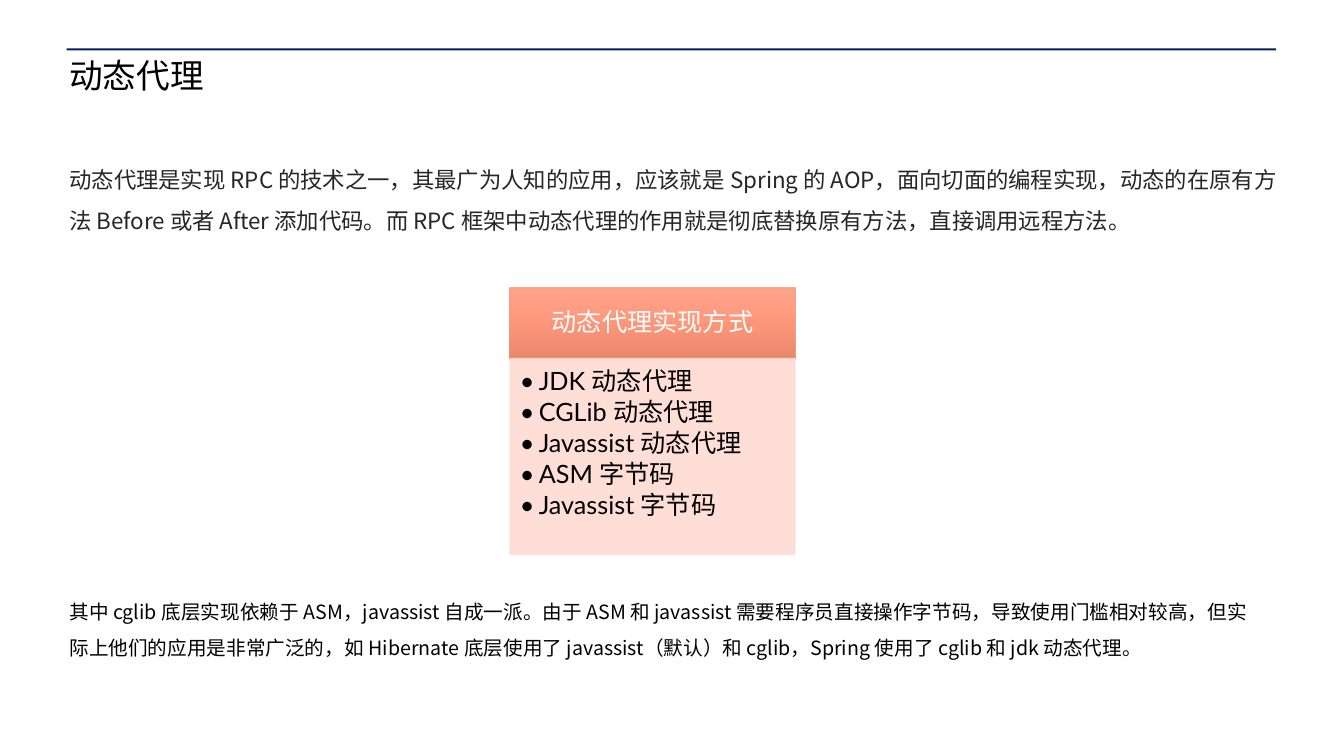
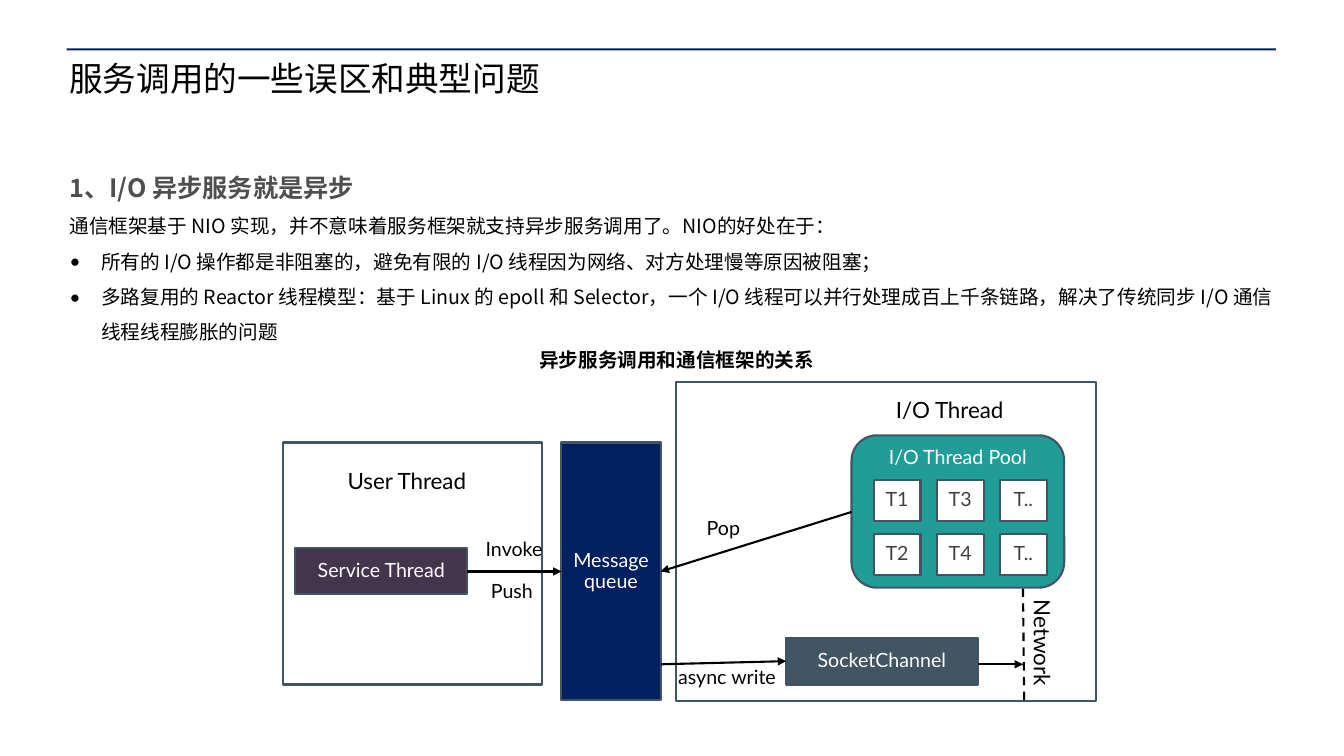
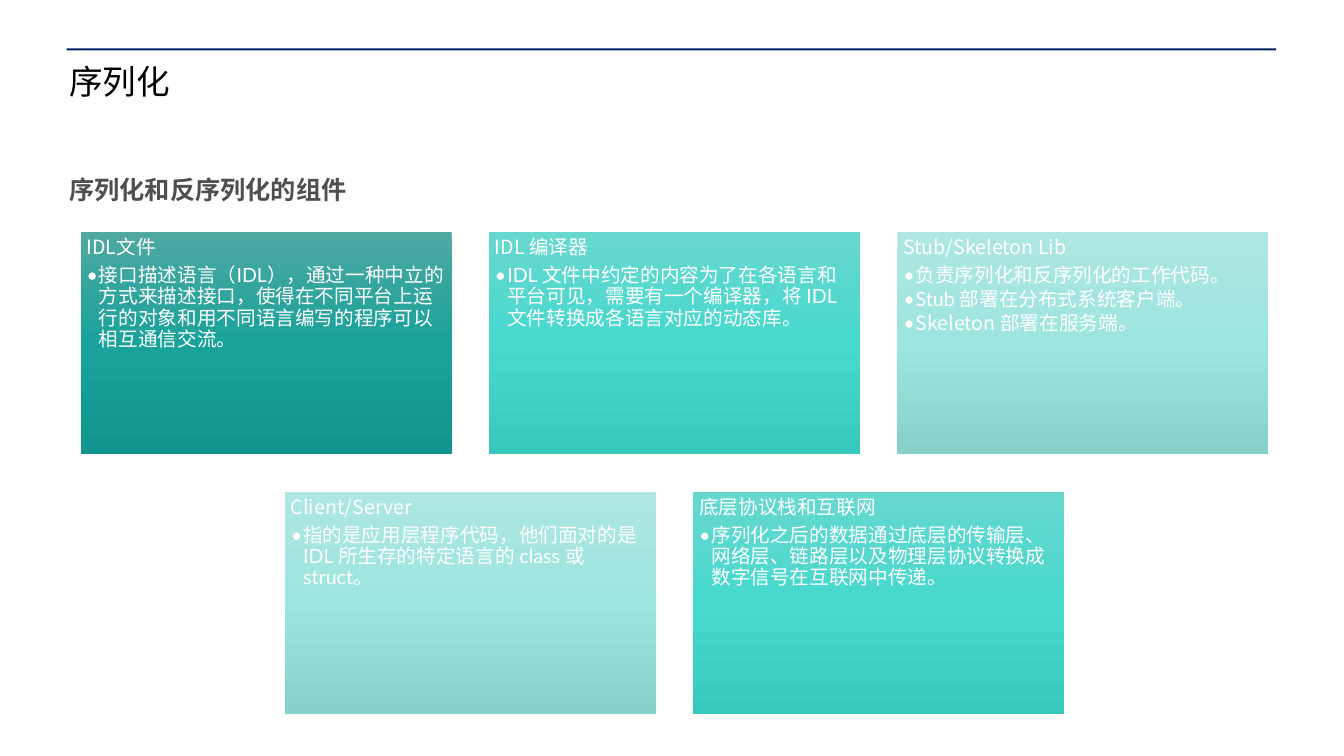
from dataclasses import dataclass
from lxml.etree import SubElement
from pptx import Presentation
from pptx.dml.color import RGBColor
from pptx.enum.dml import MSO_LINE
from pptx.enum.shapes import MSO_CONNECTOR, MSO_SHAPE
from pptx.enum.text import MSO_ANCHOR, PP_ALIGN
from pptx.oxml.ns import qn
from pptx.util import Cm, Pt


@dataclass(frozen=True)
class Theme:
    latin: str = "Lato"
    cjk: str = "Noto Sans CJK SC"
    navy: str = "002060"
    slate: str = "425563"
    plum: str = "44354D"
    teal: str = "209D97"
    black: str = "000000"
    white: str = "FFFFFF"
    ink: str = "262626"
    gray: str = "404040"
    heading: str = "4F4F4F"
    blush: str = "FFDBD4"
    coral: str = "FF8D6D"
    coral_fade: tuple = ("FF9C83", "FF8D6D", "E57C5F")
    deep_fade: tuple = ("4FA8A2", "19A29A", "11958E")
    bright_fade: tuple = ("67D8CF", "47D8CE", "38C8BE")
    pale_fade: tuple = ("AEE6E1", "9FE5DF", "89D0CA")
    title_size: int = 24
    large: int = 18
    medium: int = 16
    small: int = 14


THEME = Theme()
MARGIN = 1.75
WIDTH = 30.45


@dataclass(frozen=True)
class Line:
    text: str
    size: int = THEME.small
    color: str = THEME.black
    font: str = THEME.cjk
    bold: bool = False
    spacing: float = 0.9
    after: float = 0
    indent: float = 0
    align: PP_ALIGN = PP_ALIGN.LEFT


def write(shape, lines, insets=(0, 0, 0, 0), anchor=MSO_ANCHOR.TOP, wrap=True):
    frame = shape.text_frame
    frame.word_wrap = wrap
    frame.vertical_anchor = anchor
    frame.margin_left, frame.margin_top, frame.margin_right, frame.margin_bottom = map(Cm, insets)
    for index, line in enumerate(lines):
        para = frame.add_paragraph() if index else frame.paragraphs[0]
        para.alignment = line.align
        para.line_spacing = line.spacing
        para.space_after = Pt(line.after)
        if line.indent:
            properties = para._p.get_or_add_pPr()
            properties.set("marL", str(Cm(line.indent)))
            properties.set("indent", str(-Cm(line.indent)))
            SubElement(properties, qn("a:buFont")).set("typeface", THEME.latin)
            SubElement(properties, qn("a:buChar")).set("char", "•")
        span = para.add_run()
        span.text = line.text
        span.font.size = Pt(line.size)
        span.font.bold = line.bold
        span.font.color.rgb = RGBColor.from_string(line.color)
        span.font.name = line.font
        SubElement(span._r.get_or_add_rPr(), qn("a:ea")).set("typeface", THEME.cjk)


def add_text(page, at, *lines, wrap=True):
    box = page.shapes.add_textbox(*map(Cm, at))
    write(box, lines, wrap=wrap)
    return box


def add_block(page, at, fill=None, line=None, weight=1.5, kind=MSO_SHAPE.RECTANGLE):
    block = page.shapes.add_shape(kind, *map(Cm, at))
    block.shadow.inherit = False
    if isinstance(fill, tuple):
        fade(block, fill)
    elif fill:
        block.fill.solid()
        block.fill.fore_color.rgb = RGBColor.from_string(fill)
    else:
        block.fill.background()
    if line:
        block.line.color.rgb = RGBColor.from_string(line)
        block.line.width = Pt(weight)
    else:
        block.line.fill.background()
    return block


def fade(block, colors):
    block.fill.gradient()
    block.fill.gradient_angle = 270
    stops = block._element.spPr.find(qn("a:gradFill")).find(qn("a:gsLst"))
    for stop in list(stops):
        stops.remove(stop)
    for index, color in enumerate(colors):
        stop = SubElement(stops, qn("a:gs"))
        stop.set("pos", str(index * 50000))
        SubElement(stop, qn("a:srgbClr")).set("val", color)


def make_translucent(block, opacity=90):
    for color in block._element.spPr.iter(qn("a:srgbClr")):
        SubElement(color, qn("a:alpha")).set("val", str(opacity * 1000))


def add_node(page, at, text, fill, color=THEME.white, anchor=MSO_ANCHOR.MIDDLE,
             kind=MSO_SHAPE.RECTANGLE):
    node = add_block(page, at, fill, THEME.slate, kind=kind)
    line = Line(text, color=color, font=THEME.latin, align=PP_ALIGN.CENTER)
    write(node, [line], (0.25, 0.13, 0.25, 0.13), anchor)


def add_label(page, at, text, size=THEME.small):
    return add_text(page, at, Line(text, size, font=THEME.latin), wrap=False)


def add_link(page, start, end, arrow=True):
    link = page.shapes.add_connector(MSO_CONNECTOR.STRAIGHT, *map(Cm, start + end))
    link.line.color.rgb = RGBColor.from_string(THEME.black)
    link.line.width = Pt(1.5)
    properties = link._element.spPr
    if arrow:
        SubElement(properties.find(qn("a:ln")), qn("a:tailEnd")).set("type", "triangle")
    else:
        link.line.dash_style = MSO_LINE.DASH
    SubElement(properties, qn("a:effectLst"))


def add_page(deck, title, top):
    page = deck.slides.add_slide(deck.slide_layouts[6])
    add_block(page, (1.68, 1.22, 30.48, 0.05), THEME.navy)
    add_text(page, (MARGIN, top, WIDTH, 2.36), Line(title, THEME.title_size))
    return page


def section_heading(text):
    return Line(text, THEME.large, THEME.heading, bold=True, spacing=1.5)


def add_card(page, left, top, width, height, colors, title, points):
    card = add_block(page, (left, top, width, height), colors)
    lines = [Line(title, color=THEME.white, after=4.9)]
    lines += [Line(text, color=THEME.white, font=font, after=2.1, indent=0.31)
              for text, font in points]
    write(card, lines, (0.15,) * 4)


def build_proxy_page(deck):
    page = add_page(deck, "动态代理", 1.5)
    add_text(page, (MARGIN, 3.86, WIDTH, 5.97), Line(
        "动态代理是实现 RPC 的技术之一，其最广为人知的应用，应该就是 Spring 的 AOP，"
        "面向切面的编程实现，动态的在原有方法 Before 或者 After 添加代码。"
        "而 RPC 框架中动态代理的作用就是彻底替换原有方法，直接调用远程方法。",
        THEME.medium, THEME.ink, spacing=1.5))
    left, top, width, header_height = 12.85, 7.26, 7.19, 1.77
    header = add_block(page, (left, top, width, header_height), THEME.coral_fade, THEME.coral, 0.5)
    write(header, [Line("动态代理实现方式", THEME.large, THEME.white, THEME.latin,
                        align=PP_ALIGN.CENTER)], (0.36, 0.2, 0.36, 0.2), MSO_ANCHOR.MIDDLE)
    panel = add_block(page, (left, top + header_height, width, 4.95), THEME.blush, THEME.blush, 0.5)
    methods = ("JDK 动态代理", "CGLib 动态代理", "Javassist 动态代理", "ASM 字节码", "Javassist 字节码")
    write(panel, [Line(method, THEME.large, font=THEME.latin, after=2.7, indent=0.48)
                  for method in methods], (0.25, 0.25, 0.36, 0.41))
    for block in (header, panel):
        make_translucent(block)
    add_text(page, (MARGIN, 14.83, 30.15, 2.54), Line(
        "其中 cglib 底层实现依赖于 ASM，javassist 自成一派。由于 ASM 和 javassist "
        "需要程序员直接操作字节码，导致使用门槛相对较高，但实际上他们的应用是非常广泛的，"
        "如 Hibernate 底层使用了 javassist（默认）和 cglib，Spring 使用了 cglib 和 jdk 动态代理。",
        spacing=1.5))


def build_call_page(deck):
    page = add_page(deck, "服务调用的一些误区和典型问题", 1.57)
    add_text(
        page, (MARGIN, 3.96, WIDTH, 4.67),
        section_heading("1、I/O 异步服务就是异步"),
        Line("通信框架基于 NIO 实现，并不意味着服务框架就支持异步服务调用了。NIO的好处在于：", spacing=1.5),
        Line("所有的 I/O 操作都是非阻塞的，避免有限的 I/O 线程因为网络、对方处理慢等原因被阻塞；",
             spacing=1.5, indent=0.8),
        Line("多路复用的 Reactor 线程模型：基于 Linux 的 epoll 和 Selector，一个 I/O 线程可以并行处理"
             "成百上千条链路，解决了传统同步 I/O 通信线程线程膨胀的问题", spacing=1.5, indent=0.8))
    add_text(page, (13.59, 8.76, 7.57, 2.54),
             Line("异步服务调用和通信框架的关系", bold=True, spacing=1), wrap=False)
    draw_call_diagram(page)


def draw_call_diagram(page):
    for frame in ((7.14, 11.15, 6.53, 6.1), (17.04, 9.63, 10.59, 8.03)):
        add_block(page, frame, line=THEME.slate)
    add_node(page, (7.44, 13.82, 4.34, 1.14), "Service Thread", THEME.plum)
    add_node(page, (14.15, 11.15, 2.5, 6.5), "Message queue", THEME.navy)
    add_node(page, (21.46, 10.97, 5.36, 3.84), "I/O Thread Pool", THEME.teal,
             anchor=MSO_ANCHOR.TOP, kind=MSO_SHAPE.ROUNDED_RECTANGLE)
    for row, names in enumerate((("T1", "T3", "T.."), ("T2", "T4", "T.."))):
        for column, name in enumerate(names):
            add_node(page, (22.02 + 1.59 * column, 12.09 + 1.36 * row, 1.18, 1.04),
                     name, THEME.white, THEME.gray)
    add_node(page, (19.81, 16.08, 4.83, 1.17), "SocketChannel", THEME.slate)

    add_link(page, (11.78, 14.4), (14.15, 14.4))
    add_link(page, (16.65, 16.74), (19.81, 16.66))
    add_link(page, (21.46, 12.9), (16.65, 14.4))
    add_link(page, (25.78, 14.83), (25.81, 17.65), arrow=False)
    add_link(page, (24.64, 16.74), (25.78, 16.74))

    add_label(page, (17.81, 13.08, 1.8, 0.7), "Pop")
    add_label(page, (12.24, 13.59, 1.8, 0.7), "Invoke")
    add_label(page, (12.37, 14.66, 1.8, 0.7), "Push")
    add_label(page, (17.09, 16.81, 2.7, 0.7), "async write")
    add_label(page, (8.76, 11.86, 3.23, 1.42), "User Thread", THEME.medium)
    add_label(page, (22.58, 10.06, 3.23, 1.42), "I/O Thread", THEME.medium)
    network = add_label(page, (25.68, 15.11, 0.86, 2.74), "Network", THEME.medium)
    network.text_frame._txBody.bodyPr.set("vert", "eaVert")


def build_serialization_page(deck):
    page = add_page(deck, "序列化", 1.65)
    add_text(page, (MARGIN, 4.01, WIDTH, 1.57), section_heading("序列化和反序列化的组件"))
    rows = (
        ((THEME.deep_fade, "IDL文件", (
            ("接口描述语言（IDL），通过一种中立的方式来描述接口，使得在不同平台上运行的对象和"
             "用不同语言编写的程序可以相互通信交流。", THEME.latin),)),
         (THEME.bright_fade, "IDL 编译器", (
             ("IDL 文件中约定的内容为了在各语言和平台可见，需要有一个编译器，将 IDL "
              "文件转换成各语言对应的动态库。", THEME.latin),)),
         (THEME.pale_fade, "Stub/Skeleton Lib", (
             ("负责序列化和反序列化的工作代码。", THEME.latin),
             ("Stub 部署在分布式系统客户端。", THEME.latin),
             ("Skeleton 部署在服务端。", THEME.cjk)))),
        ((THEME.pale_fade, "Client/Server", (
            ("指的是应用层程序代码，他们面对的是 IDL 所生存的特定语言的 class 或 struct。", THEME.latin),)),
         (THEME.bright_fade, "底层协议栈和互联网", (
             ("序列化之后的数据通过底层的传输层、网络层、链路层以及物理层协议转换成"
              "数字信号在互联网中传递。", THEME.latin),))),
    )
    width, height, gap, center = 9.35, 5.61, 0.94, 17
    for row, cards in enumerate(rows):
        left = center - (len(cards) * (width + gap) - gap) / 2
        top = 5.84 + row * (height + gap)
        for column, card in enumerate(cards):
            add_card(page, left + column * (width + gap), top, width, height, *card)


def main():
    deck = Presentation()
    deck.slide_width, deck.slide_height = Cm(33.87), Cm(19.05)
    build_proxy_page(deck)
    build_call_page(deck)
    build_serialization_page(deck)
    deck.save("out.pptx")


if __name__ == "__main__":
    main()
